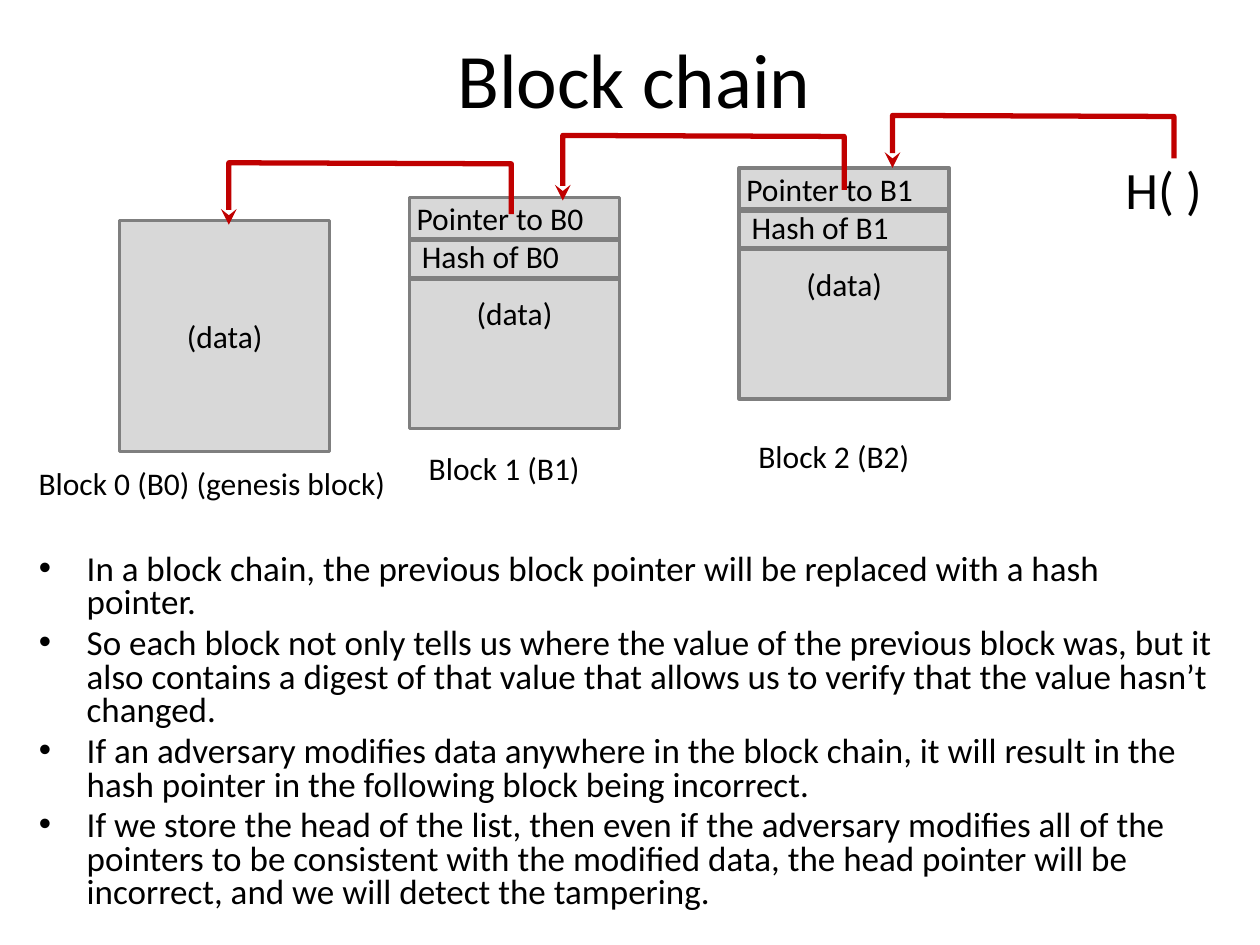
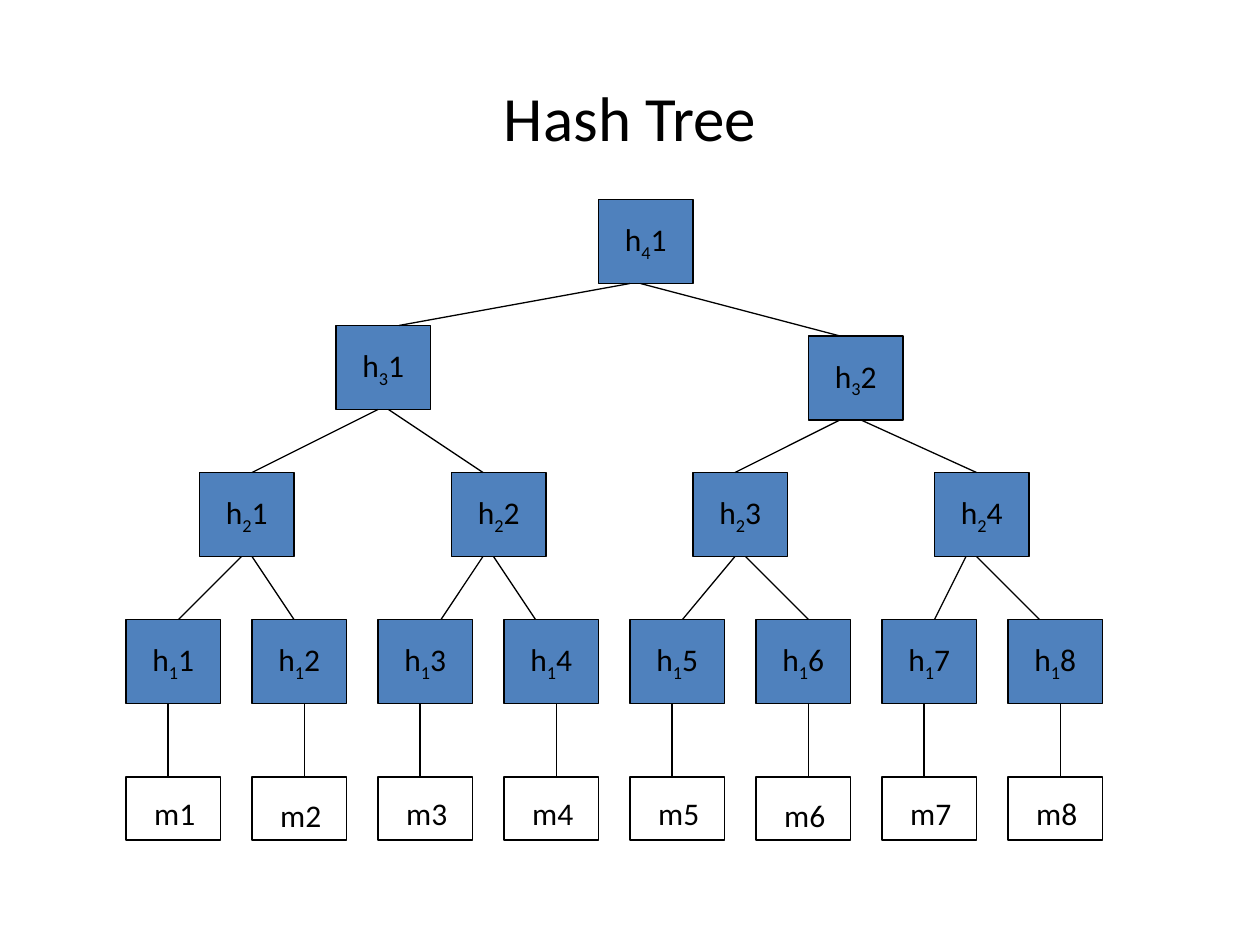
from lxml import etree
from pptx import Presentation
from pptx.dml.color import RGBColor
from pptx.enum.shapes import MSO_CONNECTOR, MSO_SHAPE
from pptx.enum.text import MSO_ANCHOR, MSO_AUTO_SIZE, PP_ALIGN
from pptx.oxml.ns import qn
from pptx.util import Inches, Pt

LINE, RECT = MSO_CONNECTOR.STRAIGHT, MSO_SHAPE.RECTANGLE
MIDDLE, CENTER = MSO_ANCHOR.MIDDLE, PP_ALIGN.CENTER
GROW, FIXED = MSO_AUTO_SIZE.SHAPE_TO_FIT_TEXT, MSO_AUTO_SIZE.NONE
FONT = "Calibri"
BLACK, GRAY, PALE, RED, BLUE = "000000", "7F7F7F", "D8D8D8", "C00000", "4F81BD"

# The slide is a grid of 120 columns and 90 rows, twelve to the inch.
COLS, ROWS, CELL = 120, 90, 1 / 12
BLOCK_W, BLOCK_H = 20, 22
NODE_W, NODE_H = 9, 8
LEAF_Y, LEAF_H = 74, 6

POINTS = [
    "In a block chain, the previous block pointer will be replaced with a hash pointer.",
    "So each block not only tells us where the value of the previous block was, but it "
    "also contains a digest of that value that allows us to verify that the value hasn’t changed.",
    "If an adversary modifies data anywhere in the block chain, it will result in the "
    "hash pointer in the following block being incorrect.",
    "If we store the head of the list, then even if the adversary modifies all of the "
    "pointers to be consistent with the modified data, the head pointer will be "
    "incorrect, and we will detect the tampering.",
]

# Each node: column, row, offset of the edge above, offsets of the two edges below.
TREE = [
    [(12 + 12 * i, 59, tip, None) for i, tip in enumerate((5, 4, 6, 3, 5, 5, 5, 3))],
    [(19, 45, 5, (4, 5)), (43, 45, 3, (3, 4)),
     (66, 45, 4, (4, 5)), (89, 45, 4, (3, 4))],
    [(32, 31, 6, (4, 5)), (77, 32, 3, (3, 5))],
    [(57, 19, None, (3, 4))],
]


def grid(*cells):
    return [Inches(n * CELL) for n in cells]


def rgb(code):
    return RGBColor.from_string(code)


def add_run(para, text, size=18, base=0):
    run = para.add_run()
    run.text = text
    run.font.name, run.font.size = FONT, Pt(size)
    run.font.color.rgb = rgb(BLACK)
    if base:
        run._r.get_or_add_rPr().set("baseline", str(base * 1000))


def set_line(shape, color, width):
    shape.line.color.rgb = rgb(color)
    shape.line.width = Pt(width)


def move(shape, *cells):
    shape.left, shape.top, shape.width, shape.height = grid(*cells)


def add_title(slide, text, size, *cells):
    title = slide.shapes.title
    move(title, *cells)
    title.text_frame.vertical_anchor = MIDDLE
    para = title.text_frame.paragraphs[0]
    para.alignment = CENTER
    add_run(para, text, size)


def add_points(slide, points, *cells):
    body = slide.placeholders[1]
    move(body, *cells)
    frame = body.text_frame
    frame.auto_size = FIXED
    for i, point in enumerate(points):
        para = frame.add_paragraph() if i else frame.paragraphs[0]
        para.line_spacing = 0.8
        para.space_before = Pt(4 if i else 0)
        props = para._p.get_or_add_pPr()
        props.set("marL", str(Inches(0.38)))
        props.set("indent", str(Inches(-0.38)))
        add_run(para, point, 20)


def add_label(slide, text, *cells, size=18):
    box = slide.shapes.add_textbox(*grid(*cells))
    box.text_frame.word_wrap = True
    box.text_frame.auto_size = GROW
    add_run(box.text_frame.paragraphs[0], text, size)


def add_box(slide, cells, fill, line, width, parts=()):
    """Draw a rectangle; parts are (text, baseline) pairs of its centred text."""
    box = slide.shapes.add_shape(RECT, *grid(*cells))
    box.shadow.inherit = False
    if fill:
        box.fill.solid()
        box.fill.fore_color.rgb = rgb(fill)
    else:
        box.fill.background()
    set_line(box, line, width)
    box.text_frame.vertical_anchor = MIDDLE
    para = box.text_frame.paragraphs[0]
    para.alignment = CENTER
    for text, base in parts:
        add_run(para, text, base=base)


def add_line(slide, cells, color=BLACK, width=0.75):
    line = slide.shapes.add_connector(LINE, *grid(*cells))
    set_line(line, color, width)
    etree.SubElement(line._element.spPr, qn("a:effectLst"))


def add_arrow(slide, x1, y1, top, x2, y2):
    """Draw a bent arrow that rises from x1, y1 to top and falls to x2, y2."""
    pen = slide.shapes.build_freeform(*grid(x1, y1))
    bends = [(x1, top + 0.1), (x2, top), (x2, y2)]
    pen.add_line_segments([grid(*bend) for bend in bends], close=False)
    arrow = pen.convert_to_shape()
    arrow.shadow.inherit = False
    arrow.fill.background()
    set_line(arrow, RED, 3)
    etree.SubElement(arrow.line._get_or_add_ln(), qn("a:tailEnd"), type="stealth")


def add_block(slide, x, y):
    add_box(slide, (x, y, BLOCK_W, BLOCK_H), PALE, GRAY, 2, [("(data)", 0)])


def add_linked(slide, num, x, y, name_y):
    """Draw a block with pointer and hash rows that refer to the block before."""
    add_block(slide, x, y)
    add_label(slide, f"Pointer to B{num - 1}", x - 0.5, y - 0.4, 19, 5)
    add_label(slide, f"Hash of B{num - 1}", x, y + 3.2, 16, 5)
    for dx, dy in ((0, 4), (-0.15, 7.7)):
        add_line(slide, (x + dx, y + dy, x + dx + BLOCK_W, y + dy), GRAY, 3)
    add_label(slide, f"Block {num} (B{num})", x + 0.65, name_y, 17, 4.8)


def draw_chain(slide):
    add_title(slide, "Block chain", 44, 6.4, -0.1, 108, 15)
    add_points(slide, POINTS, 2.5, 52.2, 114.5, 35.9)
    add_block(slide, 11.4, 21)
    add_label(slide, "Block 0 (B0) (genesis block)", 2.5, 43.6, 36, 4.8)
    add_linked(slide, 1, 39, 18.8, 42.2)
    add_linked(slide, 2, 70.4, 16, 41)
    add_label(slide, "H( )", 106, 14.4, 14, 7.3, size=30)
    add_arrow(slide, 48.7, 20.4, 15.5, 21.8, 21.4)
    add_arrow(slide, 80.4, 18.1, 12.9, 53.6, 19.1)
    add_arrow(slide, 111.8, 15.1, 11, 85, 16)


def draw_tree(slide):
    add_title(slide, "Hash Tree", 36, 6, 3.6, 108, 15)
    for level, nodes in enumerate(TREE, 1):
        for i, (x, y, _, _) in enumerate(nodes):
            parts = [("h", 0), (str(level), -25), (str(i + 1), 0)]
            add_box(slide, (x, y, NODE_W, NODE_H), BLUE, BLACK, 0.75, parts)
    for i, (x, y, _, _) in enumerate(TREE[0]):
        add_box(slide, (x, LEAF_Y, NODE_W, LEAF_H), None, BLACK, 0.75)
        drop = 1.25 if i % 4 == 1 else 1
        add_label(slide, f"m{i + 1}", x + 1.5, LEAF_Y + drop, 6.6, 4.8)
        stem = x + 4 + i % 2
        add_line(slide, (stem, LEAF_Y, stem, y + NODE_H))
    for nodes, parents in zip(TREE, TREE[1:]):
        for i, (x, y, tip, _) in enumerate(nodes):
            px, py, _, feet = parents[i // 2]
            add_line(slide, (x + tip, y, px + feet[i % 2], py + NODE_H))


def main():
    deck = Presentation()
    deck.slide_width, deck.slide_height = grid(COLS, ROWS)
    text_layout, title_layout = deck.slide_layouts[1], deck.slide_layouts[5]
    draw_chain(deck.slides.add_slide(text_layout))
    draw_tree(deck.slides.add_slide(title_layout))
    deck.save("out.pptx")


if __name__ == "__main__":
    main()
